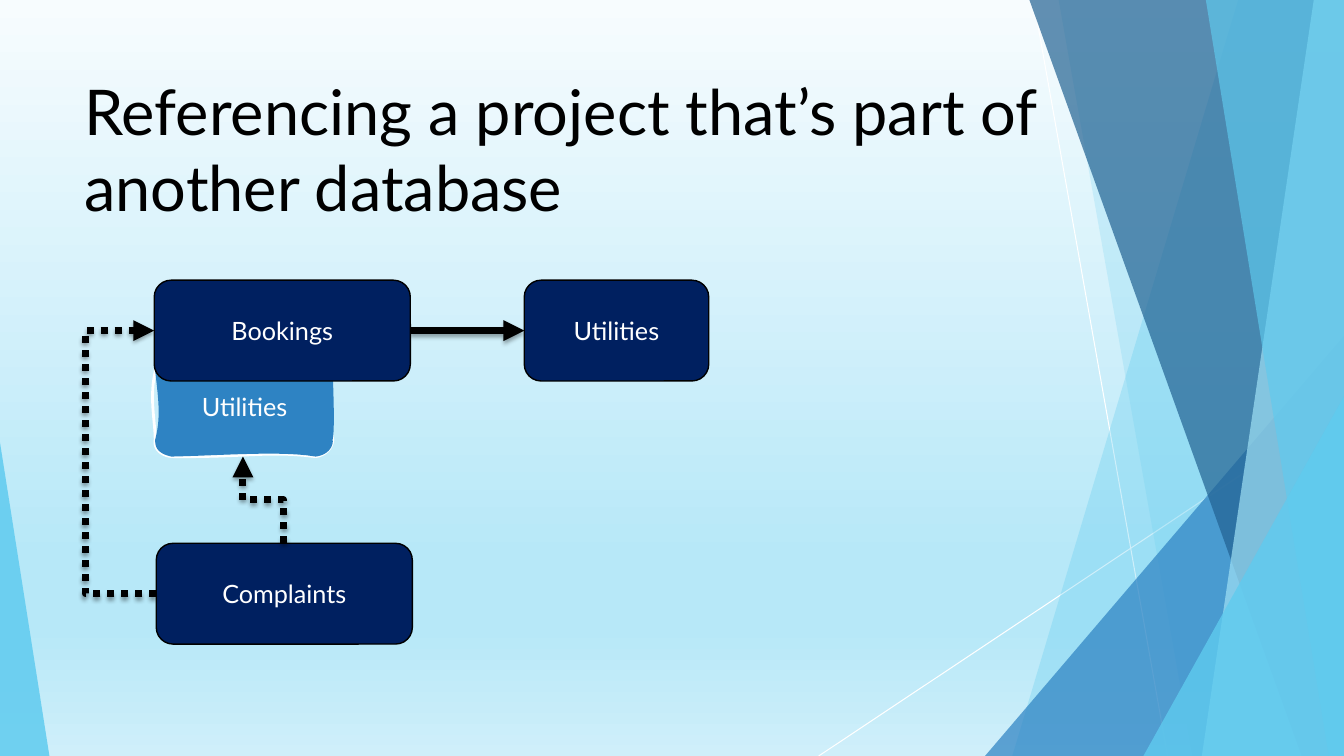
from lxml import etree
from pptx import Presentation
from pptx import util as u
from pptx.dml.color import RGBColor
from pptx.enum import dml, shapes, text
from pptx.oxml.ns import qn

CELL = u.Inches(0.1)  # one grid column or row
RIGHT, BOTTOM = 133.3, 75
FONT = "Lato"
NAVY, BLUE, SKY, WHITE, BLACK = "002060", "2E83C3", "5FCBEF", "FFFFFF", "000000"


def grid(*cells):
    return [round(cell * CELL) for cell in cells]


def colour(value):
    return RGBColor.from_string(value)


def child(parent, tag, **attributes):
    values = {name: str(value) for name, value in attributes.items()}
    return etree.SubElement(parent, qn(tag), values)


def trace(start, curves, steps=12):
    """Return points along a chain of cubic curves that begins at start."""
    points = [start]
    for first, second, end in curves:
        begin = points[-1]
        for step in range(1, steps + 1):
            t = step / steps
            weights = ((1 - t) ** 3, 3 * t * (1 - t) ** 2, 3 * t * t * (1 - t), t ** 3)
            corners = (begin, first, second, end)
            points.append(tuple(sum(w * c[axis] for w, c in zip(weights, corners))
                                for axis in (0, 1)))
    return points


class Canvas:
    """Slide style and drawing methods; lengths are grid columns and rows."""

    def __init__(self, page):
        self.page = page
        self.items = page.shapes

    def backdrop(self, stops):
        fill = self.page.background.fill
        fill.gradient()
        fill.gradient_angle = 270
        stop_list = self.page.element.find(".//" + qn("a:gsLst"))
        for stop in list(stop_list):
            stop_list.remove(stop)
        for percent, value in stops:
            stop = child(stop_list, "a:gs", pos=percent * 1000)
            child(stop, "a:srgbClr", val=value)

    def paint(self, shape, fill=None, opacity=100, line=None, width=1):
        shape.shadow.inherit = False
        if fill:
            shape.fill.solid()
            shape.fill.fore_color.rgb = colour(fill)
            if opacity < 100:
                tint = shape._element.spPr.find(".//" + qn("a:srgbClr"))
                child(tint, "a:alpha", val=opacity * 1000)
        else:
            shape.fill.background()
        if line:
            shape.line.color.rgb = colour(line)
            shape.line.width = u.Pt(width)
        else:
            shape.line.fill.background()
        return shape

    def outline(self, points, **style):
        corners = [grid(*point) for point in points]
        builder = self.items.build_freeform(*corners[0], scale=1)
        builder.add_line_segments(corners[1:], close=True)
        return self.paint(builder.convert_to_shape(), **style)

    def band(self, top, foot, **style):
        """Fill from a slanted left edge to the right side of the slide."""
        return self.outline([(top, 0), (RIGHT, 0), (RIGHT, BOTTOM), (foot, BOTTOM)], **style)

    def wedge(self, left, top, right, apex, **style):
        """Place a right triangle on the bottom edge; apex 0 is left, 1 right."""
        box = grid(left, top, right - left, BOTTOM - top)
        shape = self.items.add_shape(shapes.MSO_SHAPE.ISOSCELES_TRIANGLE, *box)
        shape.adjustments[0] = apex
        return self.paint(shape, **style)

    def set_words(self, shape, words, size, value, align, anchor):
        frame = shape.text_frame
        frame.word_wrap = True
        frame.vertical_anchor = anchor
        para = frame.paragraphs[0]
        para.text = words
        para.alignment = align
        para.font.name = FONT
        para.font.size = u.Pt(size)
        para.font.color.rgb = colour(value)

    def title(self, words, *box):
        self.set_words(self.items.add_textbox(*grid(*box)), words, 45, BLACK,
                       text.PP_ALIGN.LEFT, text.MSO_ANCHOR.TOP)

    def label(self, shape, words):
        self.set_words(shape, words, 18, WHITE, text.PP_ALIGN.CENTER, text.MSO_ANCHOR.MIDDLE)

    def project(self, words, left, top, width):
        shape = self.items.add_shape(shapes.MSO_SHAPE.ROUNDED_RECTANGLE,
                                     *grid(left, top, width, 10))
        self.paint(shape, fill=NAVY, line=BLACK)
        self.label(shape, words)
        return shape

    def line(self, *ends, kind=shapes.MSO_CONNECTOR.STRAIGHT, value=WHITE, width=0.75):
        connector = self.items.add_connector(kind, *grid(*ends))
        connector.line.color.rgb = colour(value)
        connector.line.width = u.Pt(width)
        child(connector._element.spPr, "a:effectLst")
        return connector

    def arrow(self, *ends, dotted=False, bend=None, turn=0):
        """Draw a shadowed arrow; bend is the elbow's share of the width."""
        kinds = shapes.MSO_CONNECTOR
        kind = kinds.STRAIGHT if bend is None else kinds.ELBOW
        connector = self.line(*ends, kind=kind, value=BLACK, width=5)
        if dotted:
            connector.line.dash_style = dml.MSO_LINE.ROUND_DOT
        properties = connector._element.spPr
        child(properties.find(qn("a:ln")), "a:tailEnd", type="triangle")
        shadow = child(properties.find(qn("a:effectLst")), "a:outerShdw",
                       blurRad=u.Pt(3), dist=u.Pt(2), dir=90 * 60000, rotWithShape=0)
        child(child(shadow, "a:srgbClr", val=BLACK), "a:alpha", val=35000)
        if bend is not None:
            guides = properties.find(qn("a:prstGeom")).get_or_add_avLst()
            child(guides, "a:gd", name="adj1", fmla=f"val {round(bend * 100000)}")
        if turn:
            properties.find(qn("a:xfrm")).set("rot", str(turn * 60000))
        return connector


def draw_facets(canvas):
    canvas.line(102.5, 0, 115.8, BOTTOM)
    canvas.line(RIGHT, 40.3, 81.2, BOTTOM)
    canvas.band(122.8, 100.4, fill=SKY, opacity=30)
    canvas.band(105, 118.3, fill=SKY, opacity=20)
    canvas.wedge(97.7, 33.3, RIGHT, 1, fill=BLUE, opacity=72)
    canvas.band(102.1, 129.1, fill="226292", opacity=70)
    canvas.band(130.3, 119.2, fill="9FE0F5", opacity=70)
    canvas.band(119.6, 131.8, fill=SKY, opacity=65)
    canvas.wedge(113.4, 39.3, RIGHT, 1, fill=SKY, opacity=80)
    canvas.wedge(0, 43.9, 4.9, 0, fill=SKY, opacity=85)


def draw_sketched_utilities(canvas):
    start = (15.4, 36.9)
    body = trace(start, [
        ((15.3, 36), (16.1, 35.3), (17, 35.3)),
        ((19.3, 35.4), (26.1, 36.5), (31.3, 35.3)),
        ((32.2, 35.3), (33, 36.2), (33, 36.9)),
        ((33.1, 39.8), (33.2, 42.5), (33, 43.6)),
        ((33.1, 44.5), (32.3, 45.2), (31.3, 45.3)),
        ((27.9, 44.7), (22, 45.2), (17, 45.3)),
        ((16.1, 45.1), (15.3, 44.7), (15.4, 43.6)),
        ((15.9, 41.6), (15.8, 40.2), start)])
    edge = trace(start, [
        ((15.3, 36), (16.1, 35.3), (17, 35.3)),
        ((20, 36.1), (25.6, 35.2), (31.3, 35.3)),
        ((32.3, 35.3), (33.1, 36.1), (33, 36.9)),
        ((32.6, 40.1), (32.6, 41.6), (33, 43.6)),
        ((33, 44.5), (32.2, 45.2), (31.3, 45.3)),
        ((26.7, 44.7), (24, 45.4), (17, 45.3)),
        ((16.1, 45.2), (15.2, 44.6), (15.4, 43.6)),
        ((15.4, 41.9), (14.8, 39.4), start)])
    canvas.outline(edge, line=WHITE, width=2)
    canvas.label(canvas.outline(body, fill=BLUE), "Utilities")


def main():
    deck = Presentation()
    deck.slide_width, deck.slide_height = u.Inches(13.33), u.Inches(7.5)
    canvas = Canvas(deck.slides.add_slide(deck.slide_layouts[6]))
    canvas.backdrop([(0, "F7FCFE"), (74, "B7E8F8"), (83, "B7E8F8"), (100, "CFEFFA")])
    draw_facets(canvas)
    canvas.title("Referencing a project that’s part of another database", 7.4, 6.7, 103.4, 14.4)
    link = canvas.arrow(40.7, 32.8, 52, 32.8)
    draw_sketched_utilities(canvas)
    canvas.project("Complaints", 15.5, 53.9, 25.4)
    bookings = canvas.project("Bookings", 15.3, 27.8, 25.4)
    canvas.arrow(15.5, 58.9, 15.3, 32.8, dotted=True, bend=35)
    canvas.arrow(21.8, 51.6, 30.4, 47.6, dotted=True, bend=0.5, turn=270)
    utilities = canvas.project("Utilities", 52, 27.8, 18.3)
    link.begin_connect(bookings, 3)
    link.end_connect(utilities, 1)
    deck.save("out.pptx")


if __name__ == "__main__":
    main()
